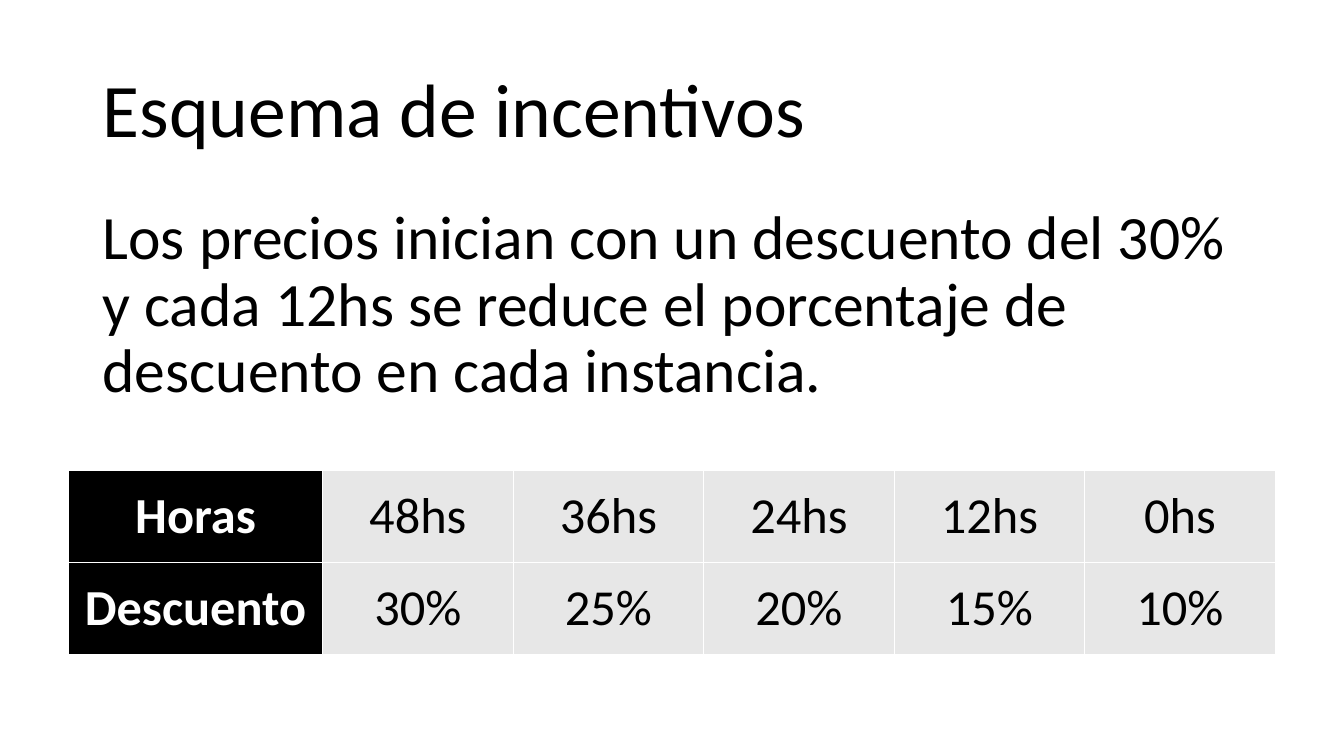
from lxml.etree import SubElement
from pptx import Presentation
from pptx.dml.color import RGBColor
from pptx.enum.text import MSO_ANCHOR as Anchor, PP_ALIGN as Align
from pptx.oxml.ns import qn
from pptx.util import Pt

PX = 9144  # 100 px to the inch
BLACK = RGBColor(0x00, 0x00, 0x00)
WHITE = RGBColor(0xFF, 0xFF, 0xFF)
GREY = RGBColor(0xE7, 0xE7, 0xE7)


def write(frame, text, size, color=BLACK, bold=False):
    para = frame.paragraphs[0]
    span = para.add_run()
    span.text = text
    for name, value in {"name": "Calibri", "size": Pt(size), "bold": bold}.items():
        setattr(span.font, name, value)
    span.font.color.rgb = color
    return para


def add_borders(cell, color):
    """Draw a 1 pt line on all four sides; call before filling the cell."""
    properties = cell._tc.get_or_add_tcPr()
    for side in ("lnL", "lnR", "lnT", "lnB"):
        line = SubElement(properties, qn(f"a:{side}"), w=str(Pt(1)))
        fill = SubElement(line, qn("a:solidFill"))
        SubElement(fill, qn("a:srgbClr"), val=str(color))


deck = Presentation()
deck.slide_width, deck.slide_height = 1333 * PX, 750 * PX
page = deck.slides.add_slide(deck.slide_layouts[6])

# Title and explanation
texts = [
    ("Esquema de incentivos", 40, 145, 54, Anchor.MIDDLE, 0),
    ("Los precios inician con un descuento del 30% y cada 12hs se reduce "
     "el porcentaje de descuento en cada instancia.", 200, 213, 44, Anchor.TOP, 10),
]
for text, top, height, size, anchor, space in texts:
    box = page.shapes.add_textbox(92 * PX, top * PX, 1150 * PX, height * PX)
    frame = box.text_frame
    frame.word_wrap = True
    frame.vertical_anchor = anchor
    para = write(frame, text, size)
    para.line_spacing = 0.9
    para.space_before = Pt(space)

# Discount table
discounts = [
    ["Horas", "48hs", "36hs", "24hs", "12hs", "0hs"],
    ["Descuento", "30%", "25%", "20%", "15%", "10%"],
]
widths = [252] + [189] * 5
row_height = 91
table = page.shapes.add_table(
    len(discounts), len(widths), 68 * PX, 467 * PX,
    sum(widths) * PX, row_height * len(discounts) * PX).table
table.first_row = table.horz_banding = False
table.first_col = True
for column, width in zip(table.columns, widths):
    column.width = width * PX

for row, values in enumerate(discounts):
    table.rows[row].height = row_height * PX
    for column, value in enumerate(values):
        heading = column == 0
        cell = table.cell(row, column)
        add_borders(cell, WHITE)
        cell.fill.solid()
        cell.fill.fore_color.rgb = BLACK if heading else GREY
        cell.vertical_anchor = Anchor.MIDDLE
        para = write(cell.text_frame, value, 36, WHITE if heading else BLACK, heading)
        para.alignment = Align.CENTER

deck.save("out.pptx")
